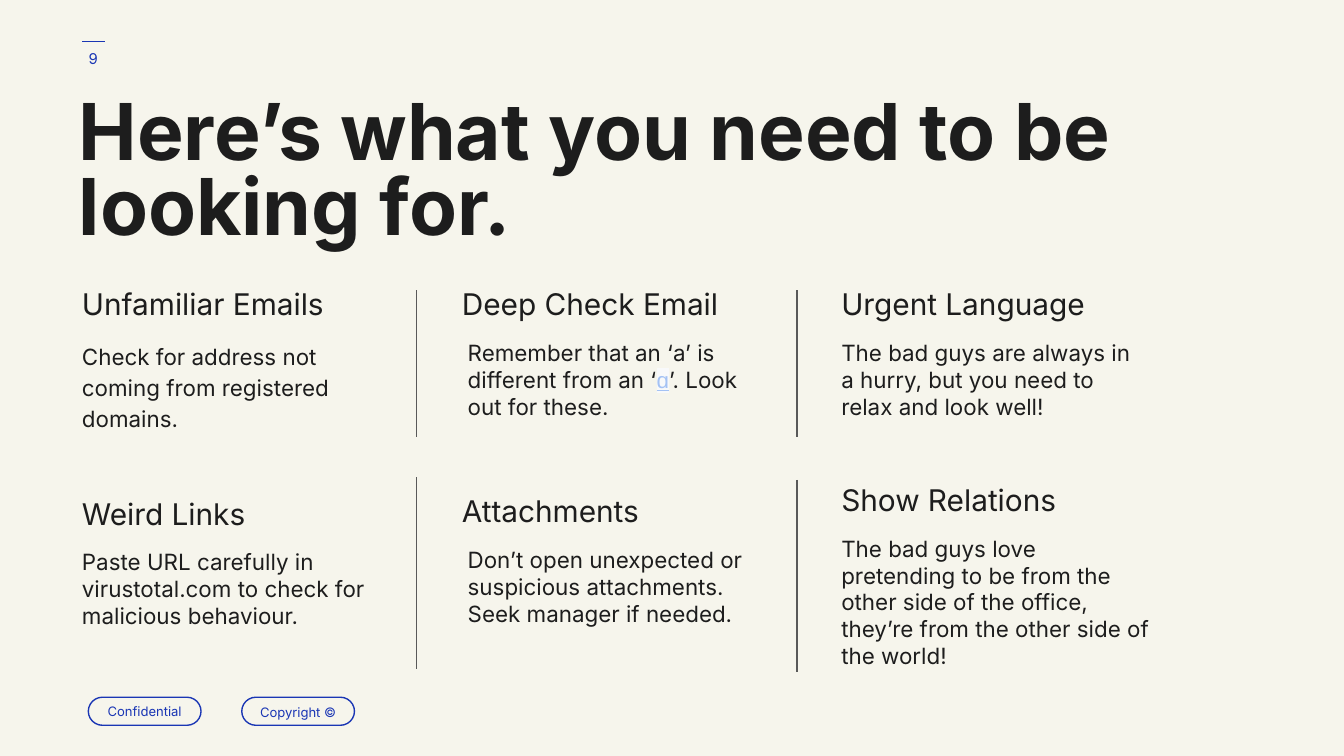
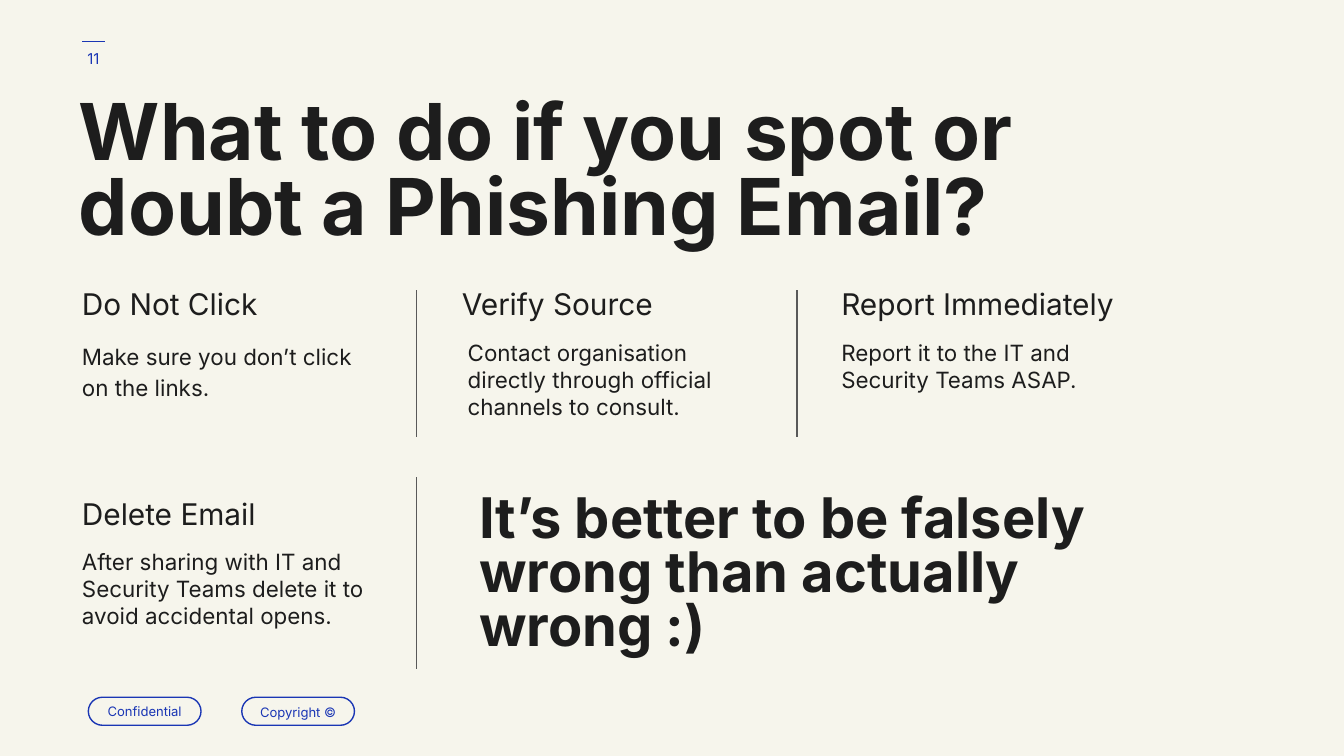
from lxml import etree
from pptx import Presentation
from pptx.dml.color import RGBColor
from pptx.enum.shapes import MSO_CONNECTOR, MSO_SHAPE
from pptx.enum.text import MSO_ANCHOR, MSO_AUTO_SIZE, PP_ALIGN
from pptx.oxml.ns import qn
from pptx.util import Cm, Pt

STRAIGHT = MSO_CONNECTOR.STRAIGHT
PILL = MSO_SHAPE.ROUNDED_RECTANGLE
TOP, MIDDLE = MSO_ANCHOR.TOP, MSO_ANCHOR.MIDDLE
LEFT, CENTER = PP_ALIGN.LEFT, PP_ALIGN.CENTER
NO_FIT = MSO_AUTO_SIZE.NONE
TITLE_ONLY = 5

COLOURS = {
    "paper": "F6F5EC",
    "ink": "1D1D1D",
    "blue": "1A36B4",
    "rule": "595959",
    "letter": "A4C2F4",
    "marker": "F8F9FA",
}

# Text styles: font values, then colour
STYLES = {
    "title": ({"name": "Inter", "size": Pt(42), "bold": True}, "ink"),
    "closing": ({"name": "Inter", "size": Pt(30), "bold": True}, "ink"),
    "heading": ({"name": "Inter", "size": Pt(16)}, "ink"),
    "body": ({"name": "Inter", "size": Pt(12)}, "ink"),
    "letter": ({"name": "Arial", "size": Pt(12), "underline": True}, "letter"),
    "number": ({"name": "Inter", "size": Pt(8)}, "blue"),
    "footer": ({"name": "Inter", "size": Pt(7)}, "blue"),
}

# Grid in centimetres
HEADING_X = (1.3, 8.48, 15.65)
BODY_X = (1.3, 8.59, 15.65)
DIVIDER_X = (7.87, 15.06)
TOP_ROW = 5.16
BODY_DROP = 1.0


def colour(name):
    return RGBColor.from_string(COLOURS[name])


def add_span(para, text, style):
    values, ink = STYLES[style]
    span = para.add_run()
    span.text = text
    for key, value in values.items():
        setattr(span.font, key, value)
    span.font.color.rgb = colour(ink)
    return span


def highlight(span, name):
    marker = etree.Element(qn("a:highlight"))
    etree.SubElement(marker, qn("a:srgbClr")).set("val", COLOURS[name])
    span.font._element.find(qn("a:solidFill")).addnext(marker)


def write(box, spans, align=LEFT, anchor=TOP, spacing=1.0):
    """Fill a box with one paragraph made of (text, style) spans."""
    frame = box.text_frame
    settings = {"word_wrap": True, "auto_size": NO_FIT, "vertical_anchor": anchor}
    for side in ("left", "top", "right", "bottom"):
        settings["margin_" + side] = Cm(0.25)
    for key, value in settings.items():
        setattr(frame, key, value)
    para = frame.paragraphs[0]
    para.alignment, para.line_spacing = align, spacing
    for text, style in spans:
        span = add_span(para, text, style)
        if style == "letter":
            highlight(span, "marker")


def add_text(page, place, spans, **layout):
    box = page.shapes.add_textbox(*map(Cm, place))
    write(box, spans, **layout)


def add_line(page, start, end, ink):
    line = page.shapes.add_connector(STRAIGHT, *map(Cm, start + end))
    line.line.color.rgb = colour(ink)
    line.line.width = Pt(0.75)
    etree.SubElement(line._element.spPr, qn("a:effectLst"))


def add_divider(page, column, top, bottom):
    x = DIVIDER_X[column]
    add_line(page, (x, top), (x, bottom), "rule")


def add_pill(page, left, text, spacing):
    pill = page.shapes.add_shape(PILL, Cm(left), Cm(13.18), Cm(2.13), Cm(0.53))
    pill.adjustments[0] = 0.5
    pill.shadow.inherit = False
    pill.fill.background()
    pill.line.color.rgb = colour("blue")
    pill.line.width = Pt(0.75)
    write(pill, [(text, "footer")], CENTER, MIDDLE, spacing)


def add_topic(page, column, top, heading, spans, width=6.07, spacing=1.0):
    """Place a heading with its advice below it in a grid column."""
    add_text(page, (HEADING_X[column], top, 5.97, 1.02), [(heading, "heading")])
    if isinstance(spans, str):
        spans = [(spans, "body")]
    place = (BODY_X[column], top + BODY_DROP, width, 1.98)
    add_text(page, place, spans, spacing=spacing)


def add_page(deck, number, title):
    """Start a page with the shared background, marks, title and dividers."""
    page = deck.slides.add_slide(deck.slide_layouts[TITLE_ONLY])
    page.background.fill.solid()
    page.background.fill.fore_color.rgb = colour("paper")

    # Page number and footer
    add_line(page, (1.55, 0.78), (1.98, 0.78), "blue")
    add_text(page, (1.17, 0.56, 1.19, 1.09), [(number, "number")],
             align=CENTER, anchor=MIDDLE)
    add_pill(page, 1.67, "Confidential", 1.0)
    add_pill(page, 4.57, "Copyright ©", 1.15)

    # Title
    box = page.shapes.title
    place = {"left": 1.24, "top": 1.65, "width": 20.47, "height": 3.51}
    for key, value in place.items():
        setattr(box, key, Cm(value))
    write(box, [(title, "title")], spacing=0.8)

    # Dividers
    for column in range(len(DIVIDER_X)):
        add_divider(page, column, 5.49, 8.26)
    add_divider(page, 0, 9.02, 12.65)
    return page


def build_warning_signs(deck):
    page = add_page(deck, "9", "Here’s what you need to be looking for.")
    add_divider(page, 1, 9.07, 12.7)
    add_topic(page, 0, TOP_ROW, "Unfamiliar Emails",
              "Check for address not coming from registered domains.",
              spacing=1.15)
    add_topic(page, 1, TOP_ROW, "Deep Check Email",
              [("Remember that an ‘a’ is different from an ‘", "body"),
               ("ɑ", "letter"),
               ("’. Look out for these.", "body")])
    add_topic(page, 2, TOP_ROW, "Urgent Language",
              "The bad guys are always in a hurry, but you need to relax "
              "and look well!")
    add_topic(page, 0, 9.12, "Weird Links",
              "Paste URL carefully in virustotal.com to check for "
              "malicious behaviour.")
    add_topic(page, 1, 9.07, "Attachments",
              "Don’t open unexpected or suspicious attachments. "
              "Seek manager if needed.")
    add_topic(page, 2, 8.86, "Show Relations",
              "The bad guys love pretending to be from the other side of the "
              "office, they’re from the other side of the world!", width=6.4)


def build_response_steps(deck):
    page = add_page(deck, "11",
                    "What to do if you spot or doubt a Phishing Email?")
    add_topic(page, 0, TOP_ROW, "Do Not Click",
              "Make sure you don’t click on the links.", spacing=1.15)
    add_topic(page, 1, TOP_ROW, "Verify Source",
              "Contact organisation directly through official channels "
              "to consult.")
    add_topic(page, 2, TOP_ROW, "Report Immediately",
              "Report it to the IT and Security Teams ASAP.")
    add_topic(page, 0, 9.12, "Delete Email",
              "After sharing with IT and Security Teams delete it to avoid "
              "accidental opens.")
    closing = "It’s better to be falsely wrong than actually wrong :)"
    add_text(page, (8.81, 9.12, 13.28, 3.51), [(closing, "closing")],
             spacing=0.8)


def main():
    deck = Presentation()
    deck.slide_width, deck.slide_height = Cm(25.4), Cm(14.29)
    build_warning_signs(deck)
    build_response_steps(deck)
    deck.save("out.pptx")


if __name__ == "__main__":
    main()
